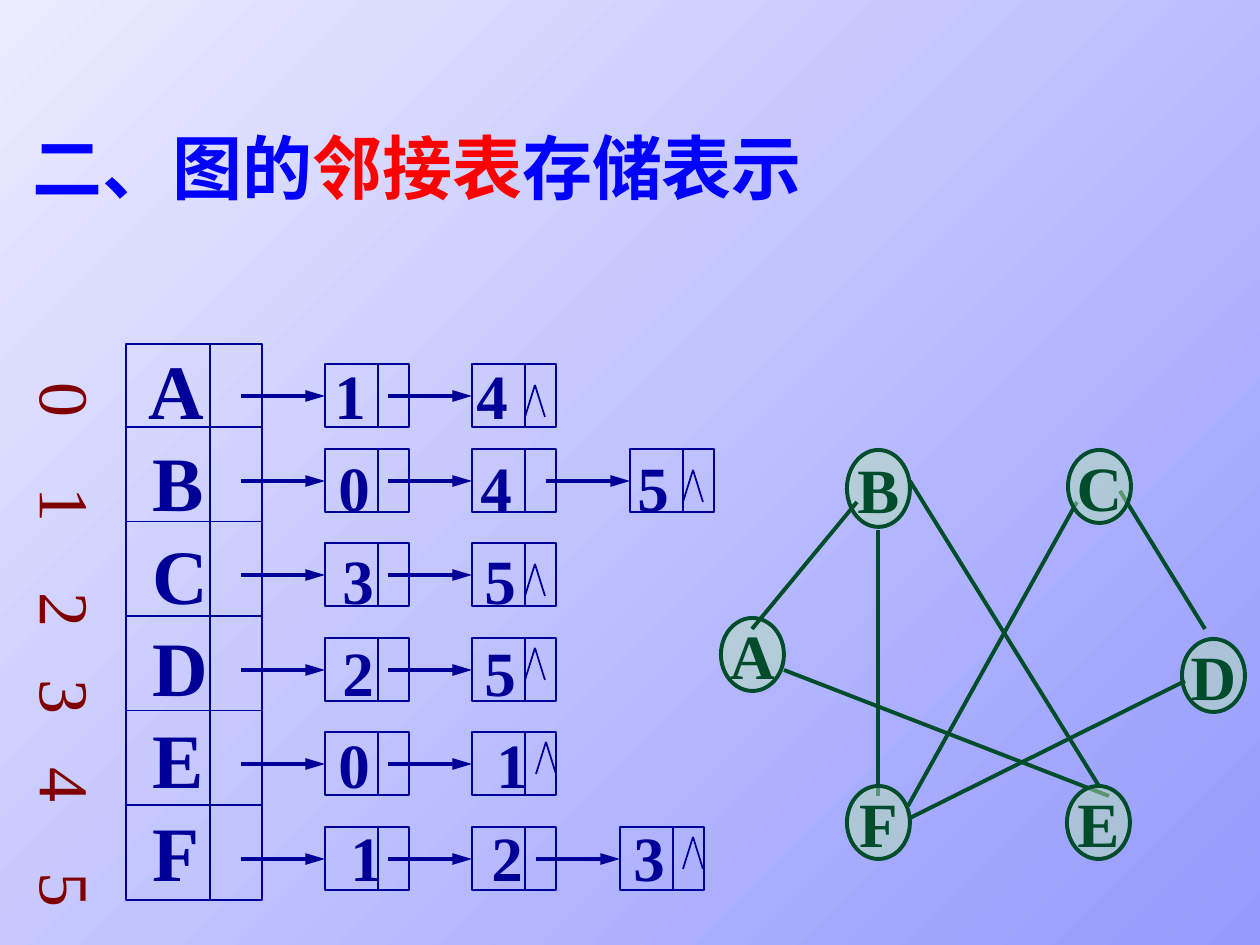
from lxml.etree import SubElement
from pptx import Presentation
from pptx.dml.color import RGBColor
from pptx.enum.shapes import MSO_CONNECTOR as CONNECTOR, MSO_SHAPE as SHAPE
from pptx.enum.text import MSO_ANCHOR as ANCHOR, MSO_AUTO_SIZE as AUTO_SIZE, PP_ALIGN as ALIGN
from pptx.oxml.ns import qn
from pptx.util import Pt

PX = 914400 / 126
FONT = "Times New Roman"
BLUE = RGBColor(0x00, 0x00, 0xFF)
RED = RGBColor(0xFF, 0x00, 0x00)
NAVY = RGBColor(0x00, 0x00, 0x99)
MAROON = RGBColor(0x80, 0x00, 0x00)
GREEN = RGBColor(0x00, 0x4C, 0x2B)
MINT = RGBColor(0xB3, 0xE1, 0xB3)
SKY = RGBColor(0xEB, 0xEB, 0xFF)
LAVENDER = RGBColor(0x95, 0x9A, 0xFD)


def px(*lengths):
    return [round(length * PX) for length in lengths]


def add_line(x1, y1, x2, y2, color=NAVY, width=1, arrow=False):
    line = page.shapes.add_connector(CONNECTOR.STRAIGHT, *px(x1, y1, x2, y2))
    line.line.color.rgb = color
    line.line.width = Pt(width)
    props = line._element.spPr
    if arrow:
        SubElement(props.find(qn("a:ln")), qn("a:tailEnd"), type="triangle", w="med", len="lg")
    SubElement(props, qn("a:effectLst"))


deck = Presentation()
deck.slide_width, deck.slide_height = px(1260, 945)
page = deck.slides.add_slide(deck.slide_layouts[5])

# Background
fill = page.background.fill
fill.gradient()
fill.gradient_angle = 315
for stop, color in zip(fill.gradient_stops, (SKY, LAVENDER)):
    stop.color.rgb = color

# Title
title = page.shapes.title
title.left, title.top, title.width, title.height = px(20, 93, 828, 122)
frame = title.text_frame
frame.auto_size = AUTO_SIZE.NONE
frame.vertical_anchor = ANCHOR.TOP
para = frame.paragraphs[0]
para.alignment = ALIGN.LEFT
para.line_spacing = 1.3
for text, color in (("二、图的", BLUE), ("邻接表", RED), ("存储表示", BLUE)):
    span = para.add_run()
    span.text = text
    span.font.name, span.font.size, span.font.bold = FONT, Pt(40), True
    span.font.color.rgb = color

# Graph: vertices before the edges lie under them, the rest lie over them
vertices = [
    ("D", 1182, 639, 73), ("B", 847, 450, 77), ("A", 721, 618, 73),
    ("C", 1068, 450, 73), ("F", 847, 786, 73), ("E", 1067, 786, 73),
]
edges = [
    (857, 502, 752, 629), (910, 481, 1099, 786), (784, 670, 1109, 796), (1077, 502, 908, 806),
    (1120, 491, 1205, 629), (1185, 681, 910, 818), (878, 530, 878, 796),
]
for index, (name, left, top, height) in enumerate(vertices):
    if index == 3:
        for edge in edges:
            add_line(*edge, GREEN, 2.25)
    vertex = page.shapes.add_shape(SHAPE.OVAL, *px(left, top, 63, height))
    vertex.shadow.inherit = False
    vertex.fill.solid()
    vertex.fill.fore_color.rgb = MINT
    tint = vertex._element.spPr.find(qn("a:solidFill"))[0]
    SubElement(tint, qn("a:alpha"), val="50000")
    vertex.line.color.rgb = GREEN
    vertex.line.width = Pt(2.25)
    frame = vertex.text_frame
    frame.text = name
    frame.word_wrap = False
    frame.vertical_anchor = ANCHOR.MIDDLE
    para = frame.paragraphs[0]
    para.alignment = ALIGN.CENTER
    span = para.runs[0]
    span.font.name, span.font.size, span.font.bold = FONT, Pt(36), True
    span.font.color.rgb = GREEN

# Adjacency rows: vertex, neighbours, tab stops, node top, node lefts, apex of the null mark
rows = [
    ("A", "14", (73, 259, 401), 364, (325, 472), (535, 385)),
    ("B", "045", (77, 263, 405, 562), 449, (325, 472, 630), (693, 470)),
    ("C", "35", (77, 267, 409), 543, (325, 472), (535, 564)),
    ("D", "25", (77, 267, 409), 638, (325, 472), (535, 648)),
    ("E", "01", (77, 263, 421), 732, (325, 472), (546, 742)),
    ("F", "123", (77, 275, 416, 558), 827, (325, 472, 620), (693, 837)),
]

# Text of the rows and the vertical indices, both set out with tab stops
lists = page.shapes.add_textbox(*px(63, 336, 683, 567)).text_frame
indices = page.shapes.add_textbox(*px(18, 369, 98, 576)).text_frame
indices._txBody.bodyPr.set("vert", "eaVert")
indices.margin_left, indices.margin_top, indices.margin_right, indices.margin_bottom = px(6, 13, 6, 13)
lists.word_wrap = indices.word_wrap = True

tabbed = [(indices.paragraphs[0], (105, 210, 297, 385, 490),
           [("0\t1\t2\t3\t4\t5", 40, False, MAROON)])]
for index, (name, neighbours, stops, *_) in enumerate(rows):
    para = lists.add_paragraph() if index else lists.paragraphs[0]
    tabbed.append((para, stops, [(f"\t{name}\t", 44, True, NAVY),
                                 ("\t".join(neighbours), 36, True, NAVY)]))
for para, stops, parts in tabbed:
    tabs = SubElement(para._p.get_or_add_pPr(), qn("a:tabLst"))
    for position in px(*stops):
        SubElement(tabs, qn("a:tab"), pos=str(position), algn="l")
    for text, size, bold, color in parts:
        span = para.add_run()
        span.text = text
        span.font.name, span.font.size, span.font.bold = FONT, Pt(size), bold
        span.font.color.rgb = color
for para in lists.paragraphs:
    para.line_spacing = Pt(52.8)

# Frames of the vertex array and of the list nodes
frames = [(126, 344, 136, 556)]
frames += [(left, top, 84, 63) for *_, top, lefts, _ in rows for left in lefts]
for bounds in frames:
    outline = page.shapes.add_shape(SHAPE.RECTANGLE, *px(*bounds))
    outline.shadow.inherit = False
    outline.fill.background()
    outline.line.color.rgb = NAVY
    outline.line.width = Pt(1)

# Dividers, pointers and null marks
add_line(210, 344, 210, 900)
for index, (*_, top, lefts, (x, y)) in enumerate(rows):
    if index:
        divider = 427 + 94.5 * (index - 1)
        add_line(126, divider, 262, divider)
    for left in lefts:
        add_line(left + 53, top, left + 53, top + 63)
        add_line(left - 84, top + 32, left, top + 32, width=2.25, arrow=True)
    for foot in (x - 10, x + 10):
        add_line(x, y, foot, y + 32)

deck.save("out.pptx")
